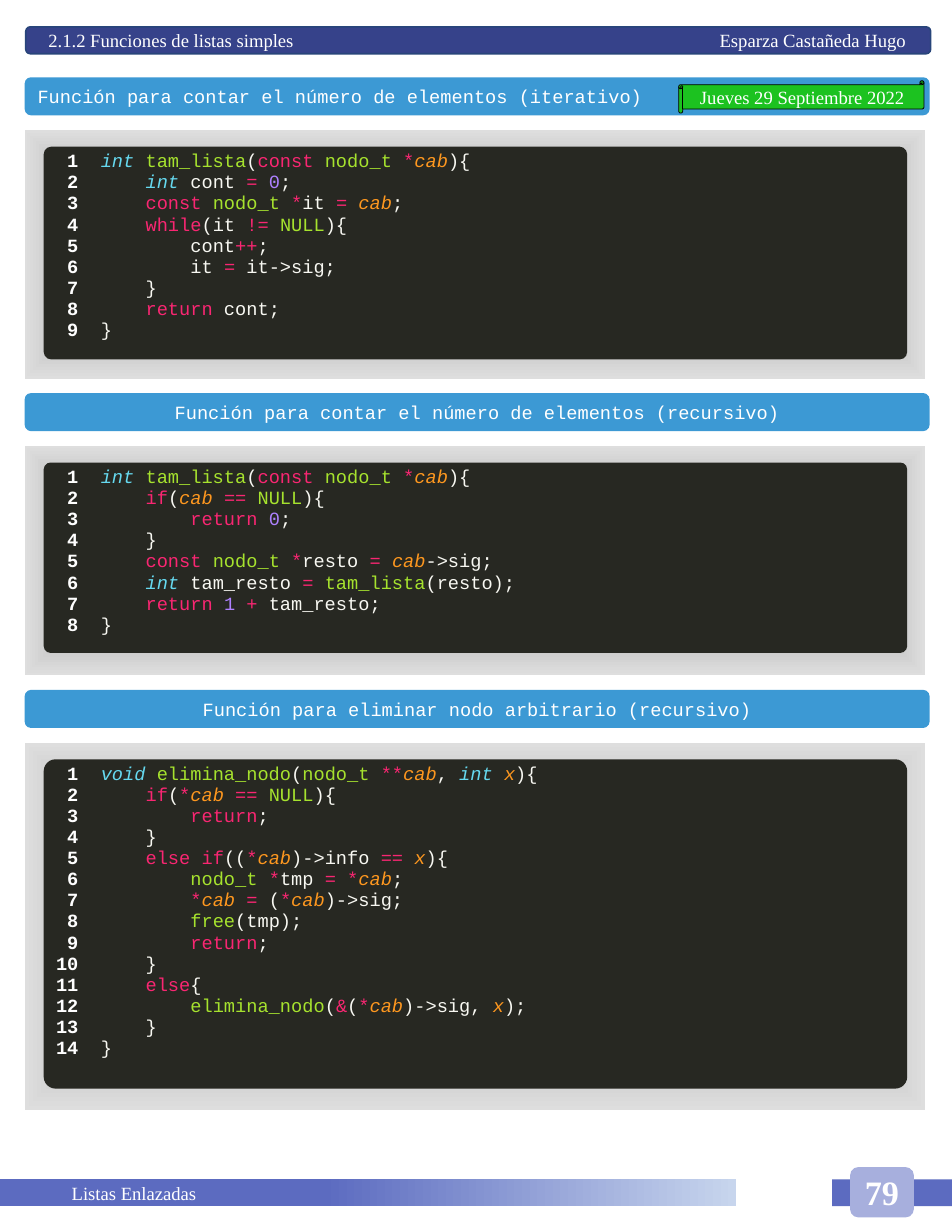
from itertools import groupby

from lxml import etree
from pptx import Presentation
from pptx import util as u
from pptx.dml.color import RGBColor
from pptx.enum import shapes, text
from pptx.oxml import ns

COLUMNS, ROWS = 85, 110
COLOURS = {
    "white": "FFFFFF", "black": "000000",
    "header": "36428A", "header_line": "28457A",
    "footer": "5C6BC0", "footer_end": "C7D5ED", "badge": "A7AFDD",
    "title": "3C99D4", "date": "1CC220",
    "frame_dark": "7B7B7B", "frame_mid": "BCBCBC", "frame_light": "DEDEDE",
    "code": "272822", "plain": "F8F8F2", "type": "66D9EF", "keyword": "F92672",
    "operator": "F92672", "name": "A6E22E", "param": "FD971F", "number": "AE81FF",
}
SERIF = {"name": "Times New Roman", "size": u.Pt(12)}
MONO = {"name": "Courier New", "size": u.Pt(12)}
LEFT, CENTER, RIGHT = (text.PP_ALIGN.LEFT, text.PP_ALIGN.CENTER, text.PP_ALIGN.RIGHT)
ROUND, RECT = shapes.MSO_SHAPE.ROUNDED_RECTANGLE, shapes.MSO_SHAPE.RECTANGLE
NO_TABLE_STYLE = "{2D5ABB26-0587-4C30-8999-92F81FD0307C}"

# Syntax highlighting
WORDS = {
    "type": "int void",
    "keyword": "const while return if else",
    "name": "tam_lista elimina_nodo nodo_t NULL free",
    "param": "cab x",
}
WORD_KIND = {word: kind for kind, words in WORDS.items() for word in words.split()}


def char_class(char):
    if char.isalnum() or char == "_":
        return "word"
    return "operator" if char in "*=!+&" else "plain"


def highlight(line):
    """Yield (kind, text) pieces of one code line."""
    tokens = []
    for kind, chars in groupby(line, char_class):
        token = "".join(chars)
        if kind == "word":
            kind = "number" if token.isdigit() else WORD_KIND.get(token, "plain")
        tokens.append((kind, token))
    for kind, run in groupby(tokens, lambda token: token[0]):
        yield kind, "".join(token for _, token in run)


class Page:
    """Holds the style and the current slide; lengths are grid columns and rows."""

    def __init__(self, deck):
        self.slide = deck.slides.add_slide(deck.slide_layouts[6])
        self.column = deck.slide_width / COLUMNS
        self.row = deck.slide_height / ROWS

    def box(self, left, top, width, height):
        return [round(value * unit) for value, unit in zip(
            (left, top, width, height), (self.column, self.row) * 2)]

    def add_words(self, paragraph, words, colour="white", **font):
        run = paragraph.add_run()
        run.text = words
        for key, value in font.items():
            setattr(run.font, key, value)
        run.font.color.rgb = RGBColor.from_string(COLOURS[colour])

    def block(self, kind, place, fill, line=None, weight=1, corner=None):
        block = self.slide.shapes.add_shape(kind, *self.box(*place))
        block.shadow.inherit = False
        block.fill.solid()
        block.fill.fore_color.rgb = RGBColor.from_string(COLOURS[fill])
        if line:
            block.line.color.rgb = RGBColor.from_string(COLOURS[line])
            block.line.width = u.Pt(weight)
        else:
            block.line.fill.background()
        if corner:
            block.adjustments[0] = corner
        return block

    def label(self, block, words, align=CENTER, inset=1, **font):
        frame = block.text_frame
        frame.word_wrap = True
        frame.vertical_anchor = text.MSO_ANCHOR.MIDDLE
        frame.margin_left = round(inset * self.column)
        paragraph = frame.paragraphs[0]
        paragraph.alignment = align
        self.add_words(paragraph, words, **font)
        return paragraph

    def right_tab(self, paragraph, column):
        tabs = etree.SubElement(paragraph._p.get_or_add_pPr(), ns.qn("a:tabLst"))
        etree.SubElement(tabs, ns.qn("a:tab"), pos=str(round(column * self.column)), algn="r")

    def gradient(self, block, stops, from_centre=False):
        solid = block._element.spPr.find(ns.qn("a:solidFill"))
        gradient = etree.Element(ns.qn("a:gradFill"), rotWithShape="1")
        stop_list = etree.SubElement(gradient, ns.qn("a:gsLst"))
        for percent, colour in stops:
            stop = etree.SubElement(stop_list, ns.qn("a:gs"), pos=str(percent * 1000))
            etree.SubElement(stop, ns.qn("a:srgbClr"), val=COLOURS[colour])
        if from_centre:
            shade = etree.SubElement(gradient, ns.qn("a:path"), {"path": "rect"})
            etree.SubElement(shade, ns.qn("a:fillToRect"),
                             {side: "50000" for side in "ltrb"})
        else:
            etree.SubElement(gradient, ns.qn("a:lin"), ang="0", scaled="0")
        solid.getparent().replace(solid, gradient)

    def listing(self, place, code):
        table = self.slide.shapes.add_table(1, 2, *self.box(*place)).table
        table.first_row = table.horz_banding = False
        table._tbl.tblPr.find(ns.qn("a:tableStyleId")).text = NO_TABLE_STYLE
        for column, width in zip(table.columns, (4.1, place[2] - 4.1)):
            column.width = round(width * self.column)
        numbers, source = table.cell(0, 0), table.cell(0, 1)
        for cell in (numbers, source):
            cell.fill.background()
        for number, line in enumerate(code.strip().splitlines(), 1):
            if number > 1:
                numbers.text_frame.add_paragraph()
                source.text_frame.add_paragraph()
            count = numbers.text_frame.paragraphs[-1]
            count.alignment = RIGHT
            self.add_words(count, str(number), bold=True, **MONO)
            statement = source.text_frame.paragraphs[-1]
            body = line.lstrip()
            # One column is the width of one code character
            margin = round((len(line) - len(body)) * self.column)
            statement._p.get_or_add_pPr().set("marL", str(margin))
            for kind, piece in highlight(body):
                self.add_words(statement, piece, kind, bold=False,
                               italic=kind in ("type", "param"), **MONO)

    def section(self, top, title, align, frame_height, code_height, code):
        bar = self.block(ROUND, (2.2, top, 80.8, 3.4), "title")
        self.label(bar, title, align, **MONO)
        frame = self.block(RECT, (2.2, top + 4.7, 80.4, frame_height), "frame_light")
        self.gradient(frame, [(11, "frame_dark"), (61, "frame_mid"),
                              (100, "frame_light"), (100, "white")], from_centre=True)
        place = (3.9, top + 6.2, 77.1, code_height)
        self.block(ROUND, place, "code", corner=0.036)
        self.listing(place, code)
        return top + 4.7 + frame_height + 1.3


ITERATIVE = """
int tam_lista(const nodo_t *cab){
    int cont = 0;
    const nodo_t *it = cab;
    while(it != NULL){
        cont++;
        it = it->sig;
    }
    return cont;
}"""
RECURSIVE = """
int tam_lista(const nodo_t *cab){
    if(cab == NULL){
        return 0;
    }
    const nodo_t *resto = cab->sig;
    int tam_resto = tam_lista(resto);
    return 1 + tam_resto;
}"""
REMOVAL = """
void elimina_nodo(nodo_t **cab, int x){
    if(*cab == NULL){
        return;
    }
    else if((*cab)->info == x){
        nodo_t *tmp = *cab;
        *cab = (*cab)->sig;
        free(tmp);
        return;
    }
    else{
        elimina_nodo(&(*cab)->sig, x);
    }
}"""
SECTIONS = [
    ("Función para contar el número de elementos (iterativo)", LEFT, 22.2, 19, ITERATIVE),
    ("Función para contar el número de elementos (recursivo)", CENTER, 20.5, 17, RECURSIVE),
    ("Función para eliminar nodo arbitrario (recursivo)", CENTER, 32.8, 29.4, REMOVAL),
]


def main():
    deck = Presentation()
    deck.slide_width, deck.slide_height = u.Inches(8.5), u.Inches(11)
    page = Page(deck)

    # Header
    header = page.block(ROUND, (2.3, 2.4, 80.8, 2.4), "header", "header_line")
    heading = page.label(header, "2.1.2 Funciones de listas simples\tEsparza Castañeda Hugo",
                         LEFT, 1.9, **SERIF)
    page.right_tab(heading, 76.6)

    # Footer and page number
    page.block(RECT, (74.3, 105.3, 10.7, 2.4), "footer")
    badge = page.block(ROUND, (75.9, 104.2, 5.7, 4.5), "badge")
    page.label(badge, "79", **{**SERIF, "size": u.Pt(22), "bold": True})
    footer = page.block(RECT, (0, 105.3, 65.7, 2.4), "footer")
    page.gradient(footer, [(44, "footer"), (100, "footer_end")])
    page.label(footer, "Listas Enlazadas", LEFT, 6.4, **SERIF)

    # Code sections
    top = 6.9
    for section in SECTIONS:
        top = page.section(top, *section)

    # Date
    date = page.block(shapes.MSO_SHAPE.HORIZONTAL_SCROLL, (60.6, 7.2, 21.9, 2.9),
                      "date", "black", 0.5)
    page.label(date, "Jueves 29 Septiembre 2022", **SERIF)

    deck.save("out.pptx")


if __name__ == "__main__":
    main()
